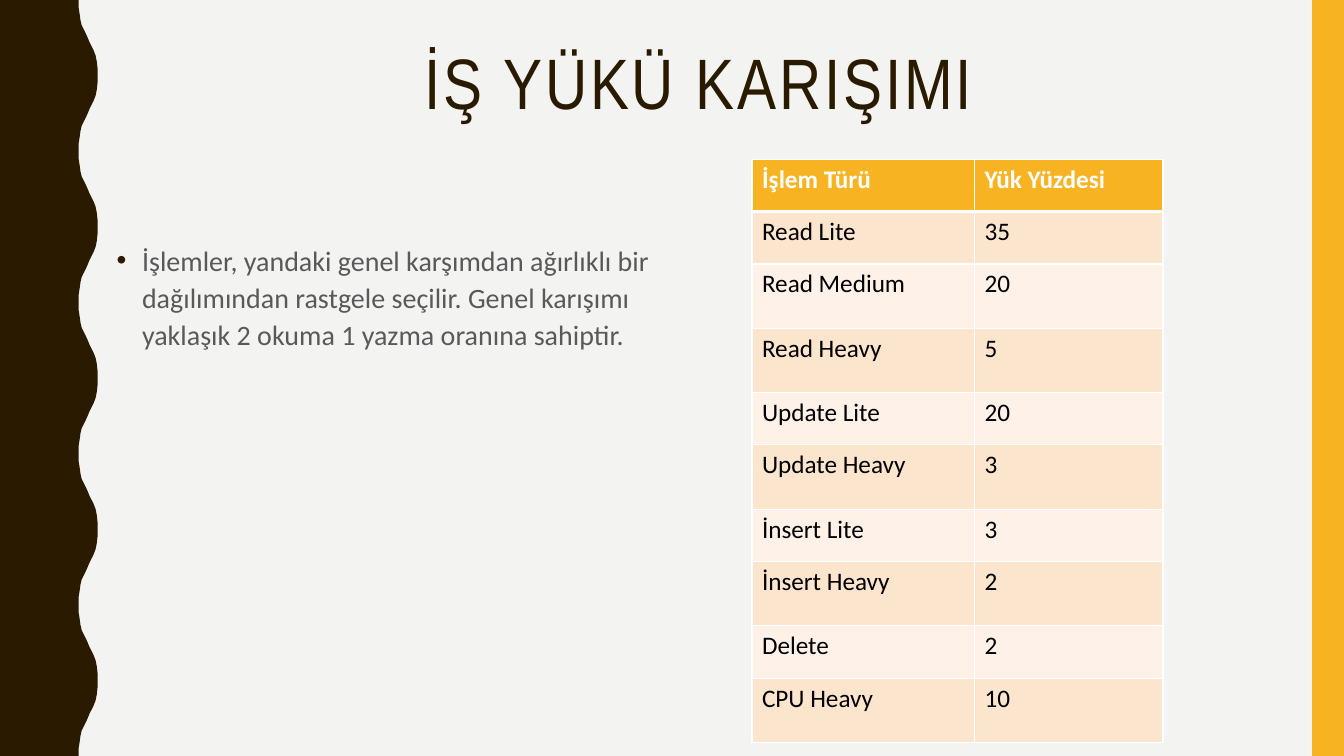
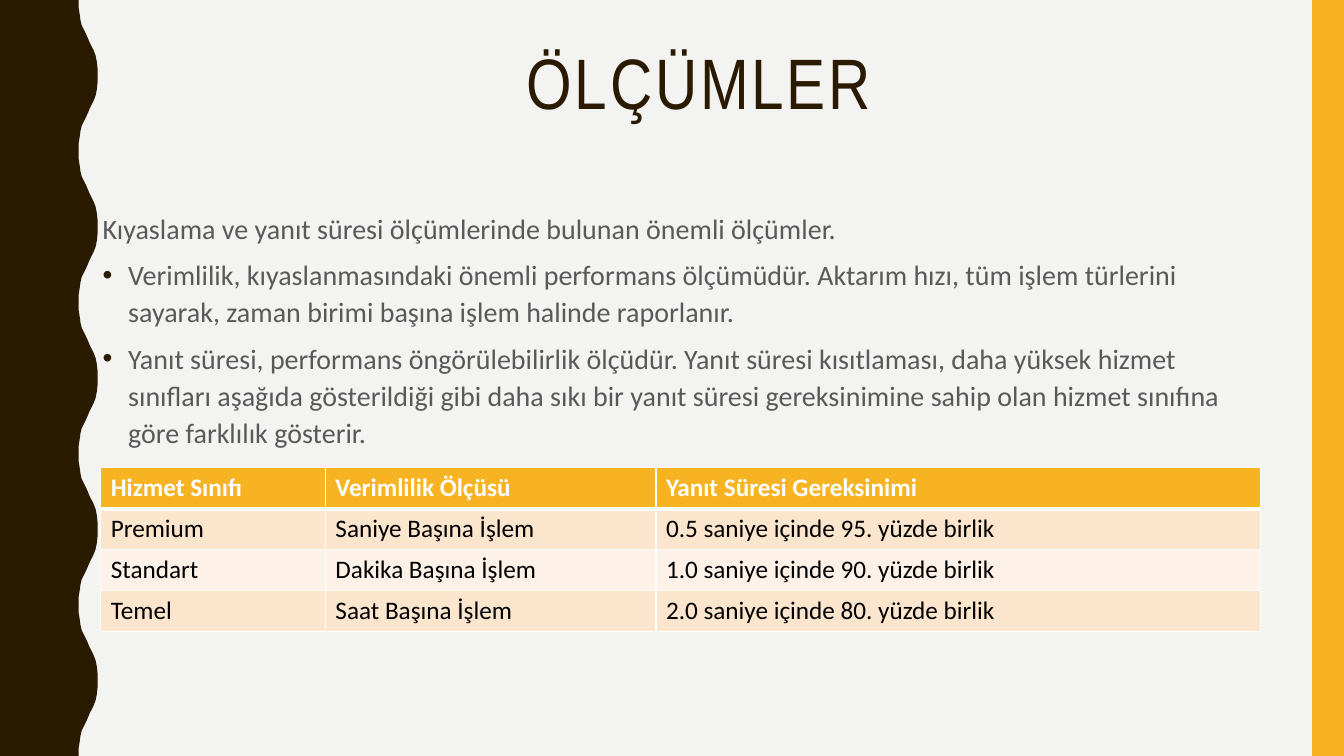
from lxml import etree
from pptx import Presentation
from pptx import util as u
from pptx.dml.color import RGBColor
from pptx.enum import shapes, text
from pptx.oxml import ns

WIDTH, HEIGHT = 33.87, 19.05
COLORS = {
    "paper": "F3F3F2", "dark": "2A1A00", "accent": "F8B323", "body": "595959",
    "white": "FFFFFF", "black": "000000", "odd": "FCE5CD", "even": "FEF2E8",
}
TITLE_FONT, BODY_FONT = "Arial Narrow", "Calibri"
HALF_WAVE = [
    (1.98, 0), (1.98, 0.18), (2.01, 0.36), (2.03, 0.51), (2.06, 0.64),
    (2.11, 0.74), (2.16, 0.84), (2.21, 0.95), (2.26, 1.07), (2.31, 1.17),
    (2.36, 1.27), (2.41, 1.4), (2.44, 1.55), (2.46, 1.73),
]
HALF_COUNT = 10


def rgb(name):
    return RGBColor.from_string(COLORS[name])


def add_node(parent, tag, **attrs):
    return etree.SubElement(parent, ns.qn(tag), attrs)


def add_color(parent, name):
    add_node(parent, "a:srgbClr", val=COLORS[name])


class Deck:
    def __init__(self):
        self.prs = Presentation()
        self.prs.slide_width, self.prs.slide_height = u.Cm(WIDTH), u.Cm(HEIGHT)
        fill = self.prs.slide_master.background.fill
        fill.solid()
        fill.fore_color.rgb = rgb("paper")
        self.s = None

    def slide(self, title):
        self.s = self.prs.slides.add_slide(self.prs.slide_layouts[6])
        self.wave()
        self.paint(self.s.shapes.add_shape(
            shapes.MSO_SHAPE.RECTANGLE,
            u.Cm(33.07), 0, u.Cm(0.8), u.Cm(HEIGHT)), "accent")
        self.title(title)

    def paint(self, sp, color):
        sp.shadow.inherit = False
        sp.fill.solid()
        sp.fill.fore_color.rgb = rgb(color)
        sp.line.fill.background()

    def wave(self):
        step = HEIGHT / HALF_COUNT
        points = []
        for k in range(HALF_COUNT):
            if k % 2:
                points += [(x, (k + 1) * step - y) for x, y in reversed(HALF_WAVE)]
            else:
                points += [(x, k * step + y) for x, y in HALF_WAVE]
        points.append((0, HEIGHT))
        builder = self.s.shapes.build_freeform(0, 0)
        builder.add_line_segments([(u.Cm(x), u.Cm(y)) for x, y in points], close=True)
        self.paint(builder.convert_to_shape(), "dark")

    def textbox(self, left, top, width, height):
        sp = self.s.shapes.add_textbox(*map(u.Cm, (left, top, width, height)))
        sp.text_frame.word_wrap = True
        return sp.text_frame

    def font(self, p, name, size, color, bold=False):
        p.font.name, p.font.size, p.font.bold = name, u.Pt(size), bold
        p.font.color.rgb = rgb(color)

    def title(self, words):
        p = self.textbox(3.48, 1.07, 28.27, 4.14).paragraphs[0]
        p.alignment = text.PP_ALIGN.CENTER
        p.line_spacing = 0.9
        r = p.add_run()
        r.text = words
        r._r.get_or_add_rPr().set("spc", "200")
        self.font(p, TITLE_FONT, 51, "dark")

    def bullet(self, p):
        pPr = p._p.get_or_add_pPr()
        pPr.set("marL", str(u.Cm(0.64)))
        pPr.set("indent", str(u.Cm(-0.64)))
        add_color(add_node(pPr, "a:buClr"), "dark")
        add_node(pPr, "a:buFont", typeface="Arial")
        add_node(pPr, "a:buChar", char="•")

    def body(self, box, bullets, intro=None):
        tf = self.textbox(*box)
        lines = ([intro] if intro else []) + bullets
        for i, line in enumerate(lines):
            p = tf.add_paragraph() if i else tf.paragraphs[0]
            p.text = line
            p.line_spacing = 1.1
            p.space_before = u.Pt(7)
            if line != intro:
                self.bullet(p)
            self.font(p, BODY_FONT, 20, "body")

    def borders(self, cell, top, bottom):
        tcPr = cell._tc.get_or_add_tcPr()
        sides = (("L", 1), ("R", 1), ("T", top), ("B", bottom))
        for i, (side, width) in enumerate(sides):
            ln = add_node(tcPr, f"a:ln{side}", w=str(u.Pt(width)))
            add_color(add_node(ln, "a:solidFill"), "white")
            tcPr.insert(i, ln)

    def table(self, left, top, widths, heights, rows):
        table = self.s.shapes.add_table(
            len(rows), len(widths), u.Cm(left), u.Cm(top),
            u.Cm(sum(widths)), u.Cm(sum(heights))).table
        table.horz_banding = False
        for column, width in zip(table.columns, widths):
            column.width = u.Cm(width)
        for i, (row, height, values) in enumerate(zip(table.rows, heights, rows)):
            row.height = u.Cm(height)
            header = i == 0
            fill = "accent" if header else "odd" if i % 2 else "even"
            for cell, value in zip(row.cells, values):
                cell.text = value
                self.font(cell.text_frame.paragraphs[0], BODY_FONT, 18,
                          "white" if header else "black", header)
                cell.fill.solid()
                cell.fill.fore_color.rgb = rgb(fill)
                self.borders(cell, 3 if i == 1 else 1, 3 if header else 1)


def main():
    deck = Deck()

    deck.slide("İŞ YÜKÜ KARIŞIMI")
    deck.body((2.69, 5.92, 14.25, 8.86), [
        "İşlemler, yandaki genel karşımdan ağırlıklı bir dağılımından rastgele "
        "seçilir. Genel karışımı yaklaşık 2 okuma 1 yazma oranına sahiptir.",
    ])
    low, high = 1.32, 1.62
    deck.table(
        18.95, 4.01, [5.61, 4.75],
        [low, low, high, high, low, high, low, high, low, high],
        [
            ("İşlem Türü", "Yük Yüzdesi"),
            ("Read Lite", "35"),
            ("Read Medium", "20"),
            ("Read Heavy", "5"),
            ("Update Lite", "20"),
            ("Update Heavy", "3"),
            ("İnsert Lite", "3"),
            ("İnsert Heavy", "2"),
            ("Delete", "2"),
            ("CPU Heavy", "10"),
        ])

    deck.slide("ÖLÇÜMLER")
    deck.body((2.34, 5.11, 29.21, 12.93), [
        "Verimlilik, kıyaslanmasındaki önemli performans ölçümüdür. Aktarım hızı, "
        "tüm işlem türlerini sayarak, zaman birimi başına işlem halinde raporlanır.",
        "Yanıt süresi, performans öngörülebilirlik ölçüdür. Yanıt süresi kısıtlaması, "
        "daha yüksek hizmet sınıfları aşağıda gösterildiği gibi daha sıkı bir yanıt "
        "süresi gereksinimine sahip olan hizmet sınıfına göre farklılık gösterir.",
    ], intro="Kıyaslama ve yanıt süresi ölçümlerinde bulunan önemli ölçümler.")
    deck.table(
        2.54, 11.79, [5.66, 8.33, 15.24], [1.03] * 4,
        [
            ("Hizmet Sınıfı", "Verimlilik Ölçüsü", "Yanıt Süresi Gereksinimi"),
            ("Premium", "Saniye Başına İşlem", "0.5 saniye içinde 95. yüzde birlik"),
            ("Standart", "Dakika Başına İşlem", "1.0 saniye içinde 90. yüzde birlik"),
            ("Temel", "Saat Başına İşlem", "2.0 saniye içinde 80. yüzde birlik"),
        ])

    deck.prs.save("out.pptx")


if __name__ == "__main__":
    main()
